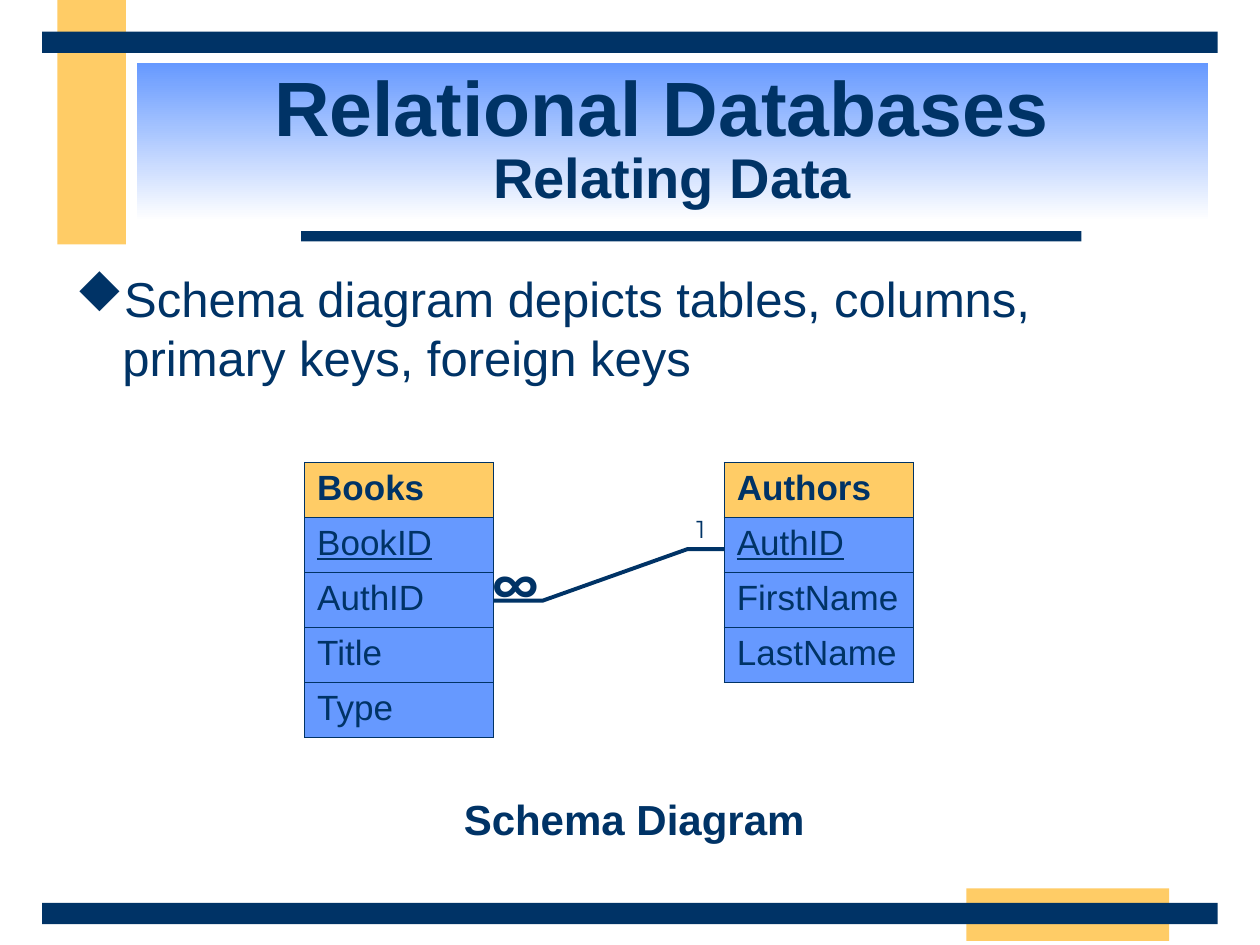
from pptx import Presentation
from pptx.dml.color import RGBColor
from pptx.enum.shapes import MSO_SHAPE
from pptx.enum.text import MSO_ANCHOR, MSO_AUTO_SIZE, PP_ALIGN
from pptx.oxml import parse_xml
from pptx.oxml.ns import nsdecls
from pptx.util import Cm, Pt

HUES = {"navy": "003366", "gold": "FFCC66", "blue": "6699FF", "white": "FFFFFF"}
ROW = 1.11


def hue(name):
    """Return the named colour."""
    return RGBColor.from_string(HUES[name])


def style(run, size, bold=False, face="Arial", under=False):
    """Format one run in navy."""
    font = run.font
    font.size, font.bold, font.name = Pt(size), bold, face
    font.underline = under
    font.color.rgb = hue("navy")


def add_bars(slide):
    """Draw the gold blocks and the navy bars of the frame."""
    bars = [
        ("gold", 1.16, 0, 1.38, 4.93),
        ("gold", 19.48, 17.91, 4.09, 1.06),
        ("navy", 6.07, 4.66, 15.73, 0.21),
        ("navy", 0.85, 18.2, 23.7, 0.43),
        ("navy", 0.85, 0.64, 23.7, 0.43),
    ]
    for name, *box in bars:
        bar = slide.shapes.add_shape(MSO_SHAPE.RECTANGLE, *map(Cm, box))
        bar.shadow.inherit = False
        bar.fill.solid()
        bar.fill.fore_color.rgb = hue(name)
        bar.line.fill.background()


def add_title(slide, box, head, sub):
    """Place the two-line title on its gradient."""
    title = slide.shapes.title
    title.left, title.top, title.width, title.height = map(Cm, box)
    title.fill.gradient()
    title.fill.gradient_angle = 270
    for stop, name in zip(title.fill.gradient_stops, ("blue", "white")):
        stop.color.rgb = hue(name)
    frame = title.text_frame
    frame.auto_size = MSO_AUTO_SIZE.NONE
    frame.vertical_anchor = MSO_ANCHOR.MIDDLE
    para = frame.paragraphs[0]
    para.text = f"{head} \v{sub}"
    para.alignment = PP_ALIGN.CENTER
    para.line_spacing = 0.85
    for run, size in zip(para.runs, (44, 32)):
        style(run, size, True)


def add_text(slide, box, text, size, bold=False, face="Arial", wrap=False, gap=0):
    """Add a one-paragraph text box and return its paragraph."""
    frame = slide.shapes.add_textbox(*map(Cm, box)).text_frame
    frame.word_wrap = wrap
    para = frame.paragraphs[0]
    para.text = text
    para.space_before = Pt(gap)
    for run in para.runs:
        style(run, size, bold, face)
    return para


def add_point(slide, box, text):
    """Add a paragraph with a diamond bullet and hanging indent."""
    props = add_text(slide, box, text, 28, wrap=True, gap=7)._p.get_or_add_pPr()
    props.set("marL", str(Cm(0.95)))
    props.set("indent", str(-Cm(0.95)))
    props.append(parse_xml(
        f'<a:buClr {nsdecls("a")}><a:srgbClr val="{HUES["navy"]}"/></a:buClr>'))
    props.append(parse_xml(
        f'<a:buFont {nsdecls("a")} typeface="Wingdings" pitchFamily="2" charset="2"/>'))
    props.append(parse_xml(f'<a:buChar {nsdecls("a")} char="u"/>'))


def add_edges(cell):
    """Give a cell thin navy borders."""
    props = cell._tc.get_or_add_tcPr()
    for side in "LRTB":
        props.append(parse_xml(
            f'<a:ln{side} {nsdecls("a")} w="{Pt(0.74)}"><a:solidFill>'
            f'<a:srgbClr val="{HUES["navy"]}"/></a:solidFill></a:ln{side}>'))


def add_entity(slide, left, top, rows):
    """Add a table: its name, then the underlined key, then other columns."""
    table = slide.shapes.add_table(
        len(rows), 1, Cm(left), Cm(top), Cm(3.81), Cm(ROW * len(rows))).table
    table.first_row = table.horz_banding = False
    for i, text in enumerate(rows):
        table.rows[i].height = Cm(ROW)
        cell = table.cell(i, 0)
        add_edges(cell)
        cell.fill.solid()
        cell.fill.fore_color.rgb = hue("blue" if i else "gold")
        para = cell.text_frame.paragraphs[0]
        para.text = text
        para.space_before = Pt(5)
        style(para.runs[0], 20, bold=i == 0, under=i == 1)


def add_link(slide, left, top, width, height):
    """Draw the bent line from many to one, with its two marks."""
    right, low = left + width, top + height
    path = [(left, low), (left + 1.04, low), (right - 0.84, top), (right, top)]
    points = [(Cm(x), Cm(y)) for x, y in path]
    form = slide.shapes.build_freeform(*points[0])
    form.add_line_segments(points[1:], close=False)
    line = form.convert_to_shape()
    line.shadow.inherit = False
    line.fill.background()
    line.line.color.rgb = hue("navy")
    line.line.width = Pt(2.24)
    add_text(slide, (right - 0.91, top - 0.83, 0.79, 0.86), "1", 14,
             face="Montserrat")
    add_text(slide, (left - 0.22, low - 1.04, 1.32, 1.45), "∞", 28, True,
             "Montserrat")


def add_schema(slide, left, top):
    """Place both tables, their link and the caption."""
    add_link(slide, left + 3.76, top + 1.75, 4.8, 1.04)
    add_text(slide, (left + 2.96, top + 6.55, 7.39, 1.27), "Schema Diagram", 24,
             True, gap=6)
    add_entity(slide, left, top, ["Books", "BookID", "AuthID", "Title", "Type"])
    add_entity(slide, left + 8.46, top,
               ["Authors", "AuthID", "FirstName", "LastName"])


def main():
    """Build the slide and save it."""
    deck = Presentation()
    deck.slide_width, deck.slide_height = Cm(25.4), Cm(19.05)
    slide = deck.slides.add_slide(deck.slide_layouts[5])
    add_bars(slide)
    add_title(slide, (2.76, 1.27, 21.59, 3.18), "Relational Databases",
              "Relating Data")
    add_point(slide, (1.27, 5.29, 22.23, 2.96),
              "Schema diagram depicts tables, columns, \vprimary keys, foreign keys")
    add_schema(slide, 6.14, 9.32)
    deck.save("out.pptx")


main()
